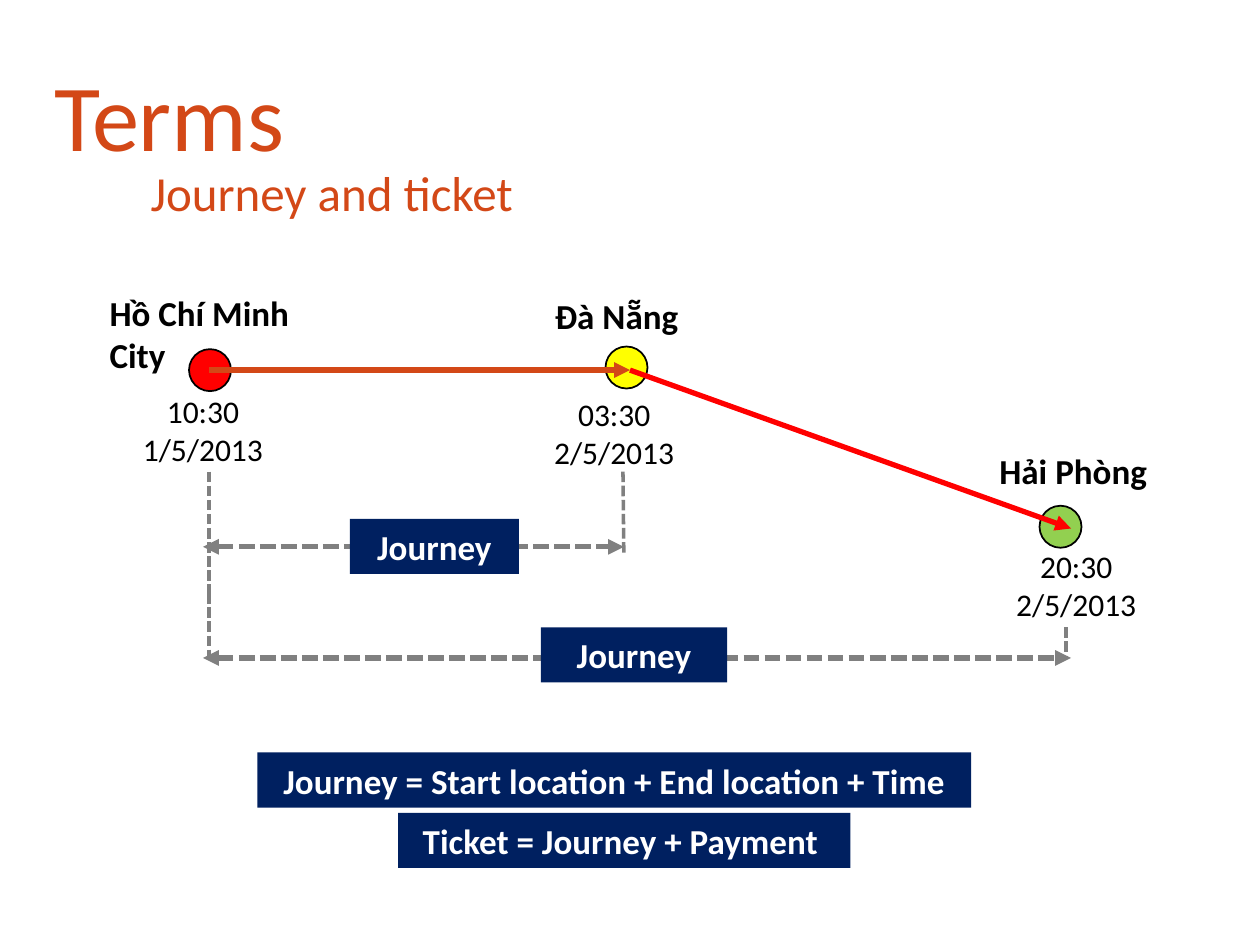
from dataclasses import dataclass
from lxml.etree import SubElement
from pptx import Presentation
from pptx.dml.color import RGBColor
from pptx.enum.dml import MSO_LINE
from pptx.enum.shapes import MSO_CONNECTOR, MSO_SHAPE
from pptx.enum.text import MSO_ANCHOR, PP_ALIGN
from pptx.oxml.ns import qn
from pptx.util import Pt


@dataclass(frozen=True)
class Theme:
    font: str = "Calibri"
    accent: str = "D34817"
    navy: str = "002060"
    grey: str = "808080"
    red: str = "FF0000"
    yellow: str = "FFFF00"
    green: str = "92D050"
    black: str = "000000"
    white: str = "FFFFFF"
    title: int = 54
    sub: int = 28
    label: int = 20
    time: int = 18


THEME = Theme()


def color(code):
    return RGBColor.from_string(code)


def write(shape, text, size, ink, bold=False, align=PP_ALIGN.LEFT):
    frame = shape.text_frame
    frame.word_wrap = True
    para = frame.paragraphs[0]
    para.alignment = align
    run = para.add_run()
    run.text = text
    run.font.name = THEME.font
    run.font.size = Pt(size)
    run.font.bold = bold
    run.font.color.rgb = color(ink)
    return frame


def add_text(slide, box, text, size, ink=THEME.black, **style):
    shape = slide.shapes.add_textbox(*map(Pt, box))
    return write(shape, text, size, ink, **style)


def add_bar(slide, left, top, width, text):
    shape = slide.shapes.add_shape(
        MSO_SHAPE.RECTANGLE, Pt(left), Pt(top), Pt(width), Pt(31.5))
    shape.shadow.inherit = False
    shape.fill.solid()
    shape.fill.fore_color.rgb = color(THEME.navy)
    shape.line.fill.background()
    write(shape, text, THEME.label, THEME.white, True, PP_ALIGN.CENTER)


def add_stop(slide, left, top, fill):
    dot = slide.shapes.add_shape(
        MSO_SHAPE.OVAL, Pt(left), Pt(top), Pt(24), Pt(24))
    dot.shadow.inherit = False
    dot.fill.solid()
    dot.fill.fore_color.rgb = color(fill)
    dot.line.color.rgb = color(THEME.black)
    dot.line.width = Pt(1)


def add_line(slide, start, end, ink, width, dash=False, ends=()):
    link = slide.shapes.add_connector(
        MSO_CONNECTOR.STRAIGHT, *map(Pt, (*start, *end)))
    link.line.color.rgb = color(ink)
    link.line.width = Pt(width)
    if dash:
        link.line.dash_style = MSO_LINE.SQUARE_DOT
    props = link._element.spPr
    for name in ends:
        SubElement(props.find(qn("a:ln")), qn(f"a:{name}"), type="triangle")
    SubElement(props, qn("a:effectLst"))


def add_guide(slide, start, end):
    add_line(slide, start, end, THEME.grey, 2, dash=True)


def add_span(slide, left, right, y):
    add_line(slide, (left, y), (right, y), THEME.grey, 3, dash=True,
             ends=("headEnd", "tailEnd"))


def main():
    deck = Presentation()
    deck.slide_width, deck.slide_height = Pt(720), Pt(540)
    slide = deck.slides.add_slide(deck.slide_layouts[6])

    # Whole trip span
    add_guide(slide, (609, 358.5), (609, 376))
    add_span(slide, 116, 612, 376)
    add_bar(slide, 309, 358.5, 106.5, "Journey")
    add_guide(slide, (119.5, 339), (119.5, 376))

    # Headings
    title = add_text(slide, (24, 36, 372, 66), "Terms", THEME.title,
                     THEME.accent)
    title.vertical_anchor = MSO_ANCHOR.BOTTOM
    title.paragraphs[0].line_spacing = 0.9
    add_text(slide, (79, 89.5, 376.5, 41), "Journey and ticket", THEME.sub,
             THEME.accent)

    # Stops and the route between them
    add_stop(slide, 108, 199.5, THEME.red)
    add_stop(slide, 594, 289, THEME.green)
    add_stop(slide, 346, 198, THEME.yellow)
    mid = (360, 211.5)
    add_line(slide, (119.5, 211.5), mid, THEME.accent, 3, ends=("tailEnd",))
    add_line(slide, mid, (612, 302), THEME.red, 3, ends=("tailEnd",))

    # Stop names
    for box, name in (
        ((55.5, 163, 126.5, 55.5), "Hồ Chí Minh City"),
        ((310, 165, 85.5, 31.5), "Đà Nẵng"),
        ((564, 253.5, 144, 31.5), "Hải Phòng"),
    ):
        add_text(slide, box, name, THEME.label, bold=True)

    # Stop times
    for left, top, width, time in (
        (69, 220.5, 94, "10:30 1/5/2013"),
        (563, 309, 104, "20:30 2/5/2013"),
        (304, 222, 94, "03:30 2/5/2013"),
    ):
        add_text(slide, (left, top, width, 51), time, THEME.time,
                 align=PP_ALIGN.CENTER)

    # First leg span
    add_guide(slide, (119.5, 269.5), (119.5, 342.5))
    add_guide(slide, (356, 269.5), (356.5, 317.5))
    add_span(slide, 116, 356.5, 312.5)
    add_bar(slide, 200, 296.5, 96.5, "Journey")

    # Definitions
    add_bar(slide, 147, 430, 408,
            "Journey = Start location + End location + Time")
    add_bar(slide, 227.5, 464.5, 258.5, "Ticket = Journey + Payment ")

    deck.save("out.pptx")


if __name__ == "__main__":
    main()
